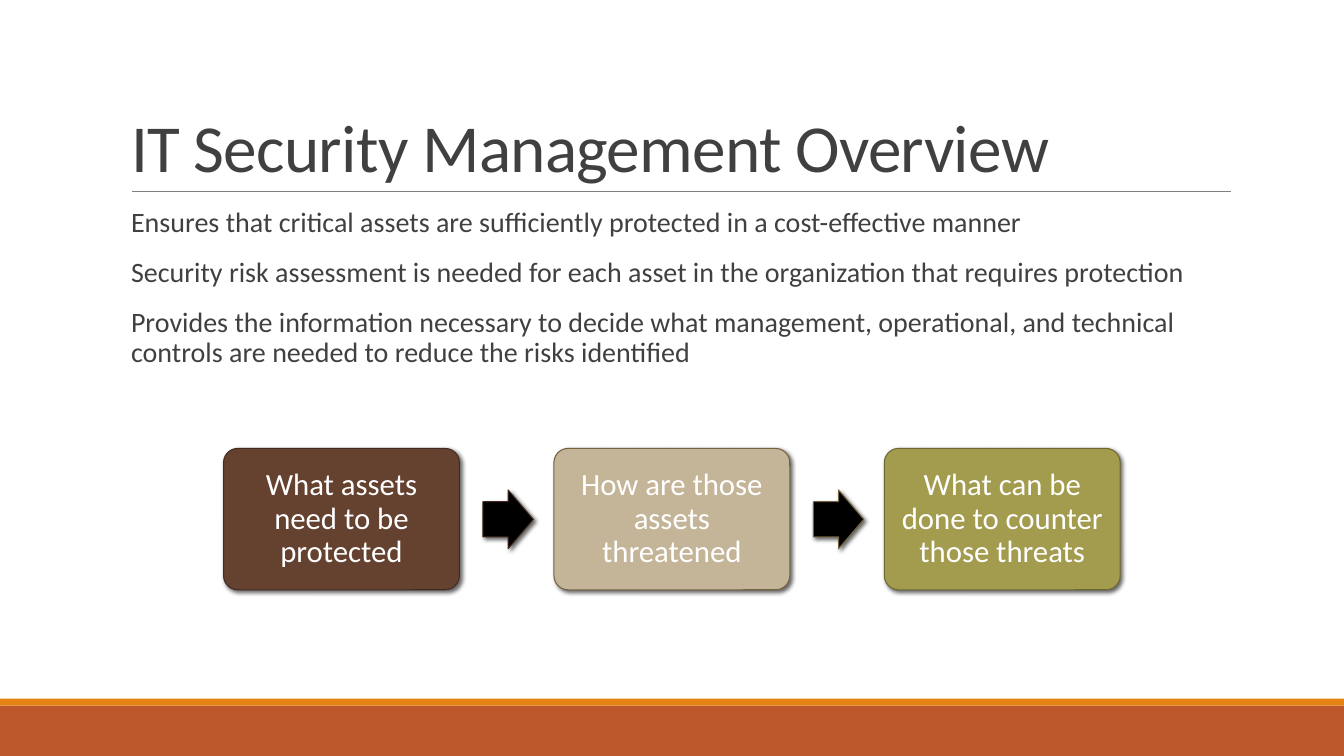
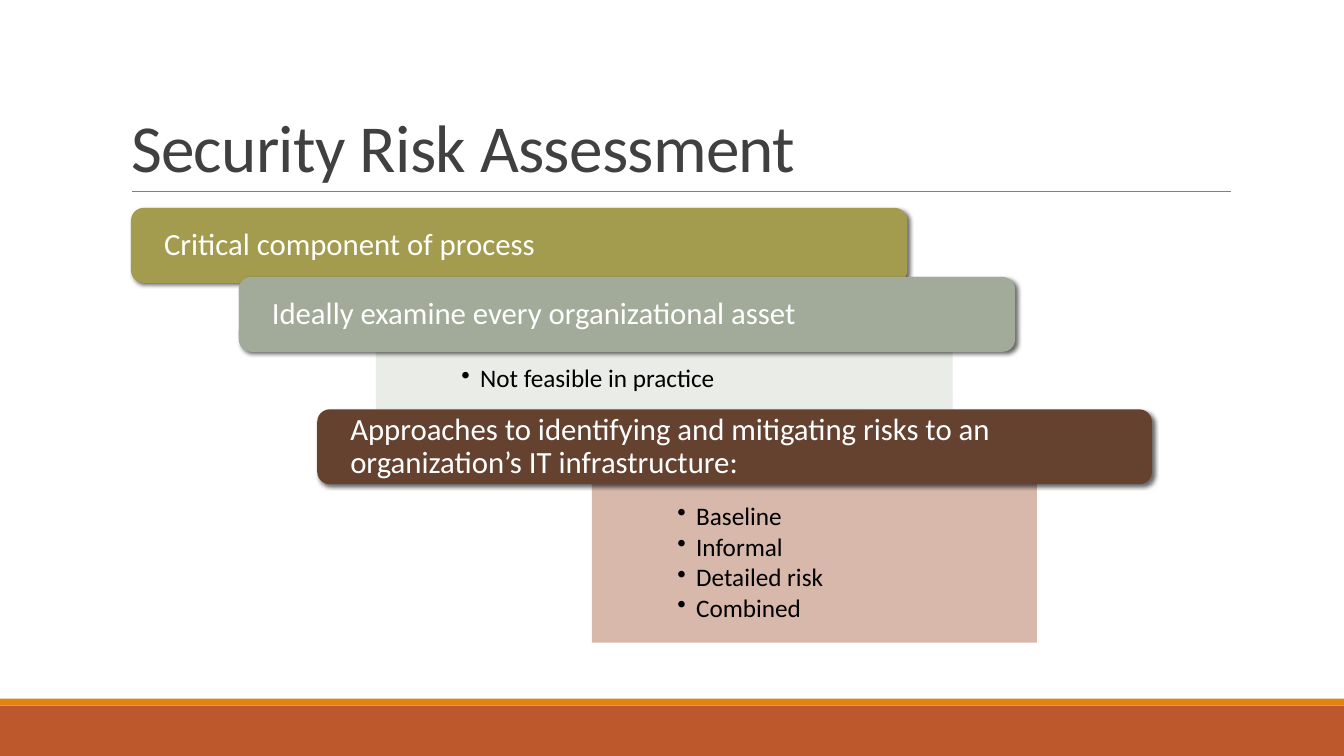
from dataclasses import dataclass, field

from lxml.etree import SubElement
from pptx import Presentation
from pptx.dml.color import RGBColor
from pptx.enum.shapes import MSO_CONNECTOR, MSO_SHAPE
from pptx.enum.text import MSO_ANCHOR, MSO_AUTO_SIZE, PP_ALIGN
from pptx.oxml.ns import qn
from pptx.util import Pt


@dataclass(frozen=True)
class Style:
    """Format of one kind of text; hang is (left margin, first-line indent)."""
    size: float
    color: str
    frame: dict
    para: dict
    hang: tuple = (0, 0)
    mark: str = ""
    track: float = 0


def pad(left, top, right, bottom, anchor=MSO_ANCHOR.MIDDLE):
    return dict(margin_left=Pt(left), margin_top=Pt(top), margin_right=Pt(right),
                margin_bottom=Pt(bottom), vertical_anchor=anchor,
                word_wrap=True, auto_size=MSO_AUTO_SIZE.NONE)


def flow(lead, before=0, after=0, align=PP_ALIGN.LEFT):
    return dict(line_spacing=lead, space_before=Pt(before),
                space_after=Pt(after), alignment=align)


@dataclass(frozen=True)
class Theme:
    face: str = "Calibri"
    rust: str = "BD582C"
    gold: str = "E48312"
    gray: str = "808080"
    black: str = "000000"
    brown: str = "654130"
    umber: str = "432B20"
    tan: str = "C5B598"
    mud: str = "746241"
    olive: str = "A39B4E"
    moss: str = "6D6834"
    sage: str = "A2AA99"
    mist: str = "EAECE7"
    rose: str = "D7B8AB"
    title: Style = field(default_factory=lambda: Style(
        48, "404040", pad(7.2, 3.6, 7.2, 3.6, MSO_ANCHOR.BOTTOM),
        flow(0.85), track=-0.5))
    body: Style = field(default_factory=lambda: Style(
        20, "404040", pad(0, 3.6, 0, 3.6, MSO_ANCHOR.TOP),
        flow(0.9, 12, 2), hang=(7.2, 0)))
    card: Style = field(default_factory=lambda: Style(
        22, "FFFFFF", pad(6.5, 6.5, 6.5, 6.5), flow(0.9, align=PP_ALIGN.CENTER)))
    bar: Style = field(default_factory=lambda: Style(
        22, "FFFFFF", pad(21, 0, 21, 0), flow(0.9)))
    list: Style = field(default_factory=lambda: Style(
        18, "000000", pad(61, 37.5, 61, 10, MSO_ANCHOR.TOP),
        flow(0.9, after=2.5), hang=(13.5, -13.5), mark="•"))


def put(item, vals):
    for name, val in vals.items():
        setattr(item, name, val)


def place(item, box):
    put(item, dict(zip(("left", "top", "width", "height"), map(Pt, box))))


class Deck:
    def __init__(self, theme):
        self.theme = theme
        self.file = Presentation()
        put(self.file, dict(slide_width=Pt(960), slide_height=Pt(540)))
        self.slide = None

    def page(self, title, lines=()):
        """Start a slide with its bands, rule, title and optional body list."""
        look = self.theme
        self.slide = self.file.slides.add_slide(
            self.file.slide_layouts[1 if lines else 5])
        self.shape(MSO_SHAPE.RECTANGLE, (0, 504, 960, 36), look.rust)
        self.shape(MSO_SHAPE.RECTANGLE, (0, 499, 960, 5), look.gold)
        self.rule(94.5, 879, 137)
        head = self.slide.shapes.title
        place(head, (86.4, 22.5, 792, 114.3))
        self.text(head, [title], look.title)
        if lines:
            body = self.slide.placeholders[1]
            place(body, (86.4, 145.5, 792, 317))
            self.text(body, lines, look.body)

    def rule(self, left, right, y):
        line = self.slide.shapes.add_connector(
            MSO_CONNECTOR.STRAIGHT, Pt(left), Pt(y), Pt(right), Pt(y))
        line.line.color.rgb = RGBColor.from_string(self.theme.gray)
        line.line.width = Pt(0.5)
        SubElement(line.element.spPr, qn("a:effectLst"))

    def text(self, item, lines, style):
        frame = item.text_frame
        put(frame, style.frame)
        frame.text = "\n".join(lines)
        for para in frame.paragraphs:
            put(para, style.para)
            props = para._p.get_or_add_pPr()
            left, first = style.hang
            props.set("marL", str(Pt(left)))
            props.set("indent", str(Pt(first)))
            if style.mark:
                SubElement(props, qn("a:buChar"), char=style.mark)
            else:
                SubElement(props, qn("a:buNone"))
            for run in para.runs:
                put(run.font, dict(name=self.theme.face, size=Pt(style.size)))
                run.font.color.rgb = RGBColor.from_string(style.color)
                if style.track:
                    run.font._element.set("spc", str(int(style.track * 100)))

    def shape(self, kind, box, fill, edge=None, adj=(), shade=False):
        item = self.slide.shapes.add_shape(kind, *map(Pt, box))
        item.fill.solid()
        item.fill.fore_color.rgb = RGBColor.from_string(fill)
        if edge:
            item.line.color.rgb = RGBColor.from_string(edge)
            item.line.width = Pt(0.75)
        else:
            item.line.fill.background()
        for at, val in enumerate(adj):
            item.adjustments[at] = val
        item.shadow.inherit = False
        if shade:
            self.shade(item)
        return item

    def shade(self, item):
        """Add a soft shadow to the lower right."""
        list_ = item.element.spPr.find(qn("a:effectLst"))
        drop = SubElement(list_, qn("a:outerShdw"), blurRad=str(Pt(3)),
                          dist=str(Pt(2)), dir="2700000", algn="tl",
                          rotWithShape="0")
        color = SubElement(drop, qn("a:srgbClr"), val=self.theme.black)
        SubElement(color, qn("a:alpha"), val="60000")

    def card(self, box, words, fill, edge):
        item = self.shape(MSO_SHAPE.ROUNDED_RECTANGLE, box, fill, edge, (0.1,), True)
        self.text(item, [words], self.theme.card)

    def arrow(self, box, edge):
        self.shape(MSO_SHAPE.RIGHT_ARROW, box, self.theme.black, edge,
                   (0.6, 0.5), True)

    def bar(self, box, words, fill):
        item = self.shape(MSO_SHAPE.ROUNDED_RECTANGLE, box, fill, shade=True)
        self.text(item, [words], self.theme.bar)

    def panel(self, box, lines, fill):
        item = self.shape(MSO_SHAPE.RECTANGLE, box, fill)
        self.text(item, lines, self.theme.list)


def main():
    look = Theme()
    deck = Deck(look)

    deck.page("IT Security Management Overview", [
        "Ensures that critical assets are sufficiently protected in a "
        "cost-effective manner",
        "Security risk assessment is needed for each asset in the "
        "organization that requires protection",
        "Provides the information necessary to decide what management, "
        "operational, and technical controls are needed to reduce the risks "
        "identified",
    ])
    cards = [
        ("What assets need to be protected", look.brown, look.umber),
        ("How are those assets threatened", look.tan, look.mud),
        ("What can be done to counter those threats", look.olive, look.moss),
    ]
    for at, (words, fill, edge) in enumerate(cards):
        left = 159.7 + 236 * at
        deck.card((left, 320.3, 168.5, 101), words, fill, edge)
        if at < len(cards) - 1:
            deck.arrow((left + 185.3, 350, 36, 42), edge)

    deck.page("Security Risk Assessment")
    high = 53.5
    deck.bar((93.6, 148.5, 554.5, high), "Critical component of process", look.olive)
    deck.panel((268.5, 224, 412, 68.5), ["Not feasible in practice"], look.mist)
    deck.bar((170.6, 197.8, 554.5, high),
             "Ideally examine every organizational asset", look.sage)
    deck.panel((422.8, 322.3, 318, 136.7),
               ["Baseline", "Informal", "Detailed risk", "Combined"], look.rose)
    deck.bar((226.6, 292.4, 596.2, high),
             "Approaches to identifying and mitigating risks to an "
             "organization’s IT infrastructure:", look.brown)

    deck.file.save("out.pptx")


if __name__ == "__main__":
    main()
